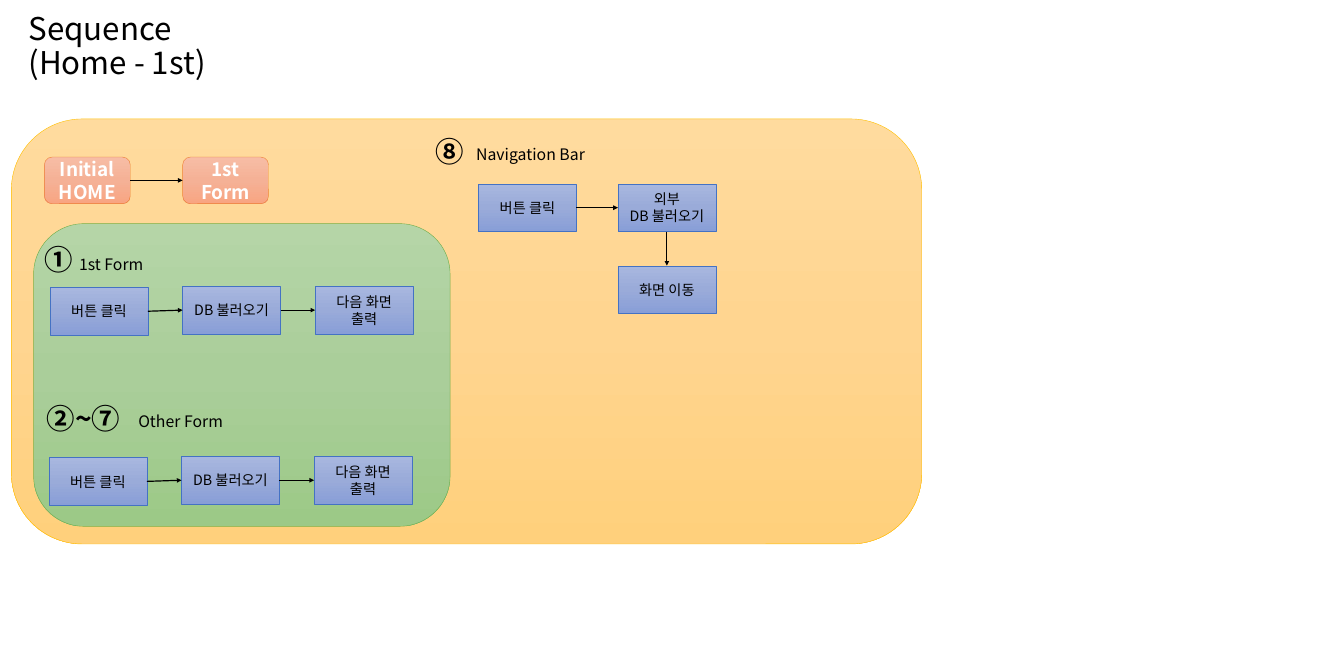
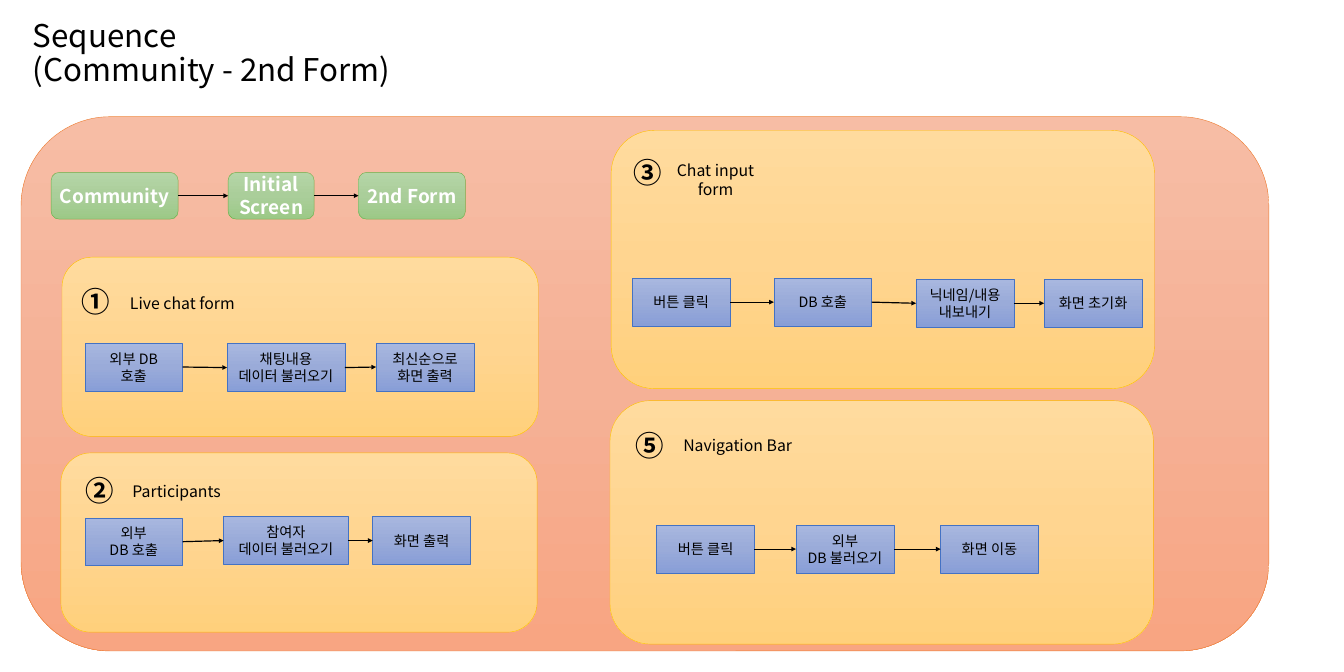
from copy import deepcopy
from dataclasses import dataclass

from lxml.etree import SubElement
from pptx import Presentation
from pptx.dml.color import RGBColor
from pptx.enum.shapes import MSO_CONNECTOR as Connector, MSO_SHAPE as Preset
from pptx.enum.text import MSO_ANCHOR as Anchor, MSO_AUTO_SIZE as AutoSize, PP_ALIGN as Align
from pptx.oxml.ns import qn
from pptx.util import Inches, Pt


@dataclass(frozen=True)
class Look:
    """Three gradient colours from top to bottom, and an outline."""
    stops: tuple
    line: str


@dataclass(frozen=True)
class Theme:
    font: str = "Noto Sans CJK KR"
    text: str = "000000"
    light: str = "FFFFFF"
    yellow: Look = Look(("FFDB9E", "FFD590", "FFD07C"), "FFC000")
    orange: Look = Look(("F7BDA5", "F5B196", "F8A582"), "ED7D31")
    green: Look = Look(("B5D5A7", "AACE9A", "9CC987"), "70AD47")
    blue: Look = Look(("A8B7DF", "9AABD9", "889ED7"), "4472C4")
    title_size: float = 39.6
    number_size: int = 36
    badge_size: int = 24
    caption_size: int = 20
    step_size: int = 18
    outline: float = 0.5
    arrow: float = 1.5


# Connection sites of a rectangle
TOP, LEFT, BOTTOM, RIGHT = range(4)
STEP_WIDTH, STEP_HEIGHT = 1.72, 0.84
BADGE_HEIGHT = 0.82


class SequenceDeck:
    def __init__(self, theme):
        self.theme = theme
        self.presentation = Presentation()
        self.presentation.slide_width = Inches(23.62)
        self.presentation.slide_height = Inches(11.81)
        self.slide = None

    def add_slide(self, title, left, top, width, height):
        layout = self.presentation.slide_layouts.get_by_name("Title Only")
        self.slide = self.presentation.slides.add_slide(layout)
        shape = self.slide.shapes.title
        shape.left, shape.top = Inches(left), Inches(top)
        shape.width, shape.height = Inches(width), Inches(height)
        frame = shape.text_frame
        frame.auto_size = AutoSize.NONE
        frame.vertical_anchor = Anchor.MIDDLE
        self.set_text(frame, title, self.theme.title_size, Align.LEFT)
        frame.paragraphs[0].line_spacing = 0.9

    def set_text(self, frame, text, size, align=Align.CENTER, color=None, bold=False):
        frame.text = text
        frame.word_wrap = True
        for paragraph in frame.paragraphs:
            paragraph.alignment = align
            for run in paragraph.runs:
                font = run.font
                font.size, font.bold = Pt(size), bold
                font.color.rgb = RGBColor.from_string(color or self.theme.text)
                font.name = self.theme.font
                # Korean text takes the East Asian typeface
                SubElement(font._element, qn("a:ea"), typeface=self.theme.font)

    def block(self, preset, look, left, top, width, height):
        shape = self.slide.shapes.add_shape(
            preset, Inches(left), Inches(top), Inches(width), Inches(height))
        shape.shadow.inherit = False
        shape.fill.gradient()
        shape.fill.gradient_angle = 270
        # A middle stop joins the two default ones
        stop_list = shape._element.spPr.find(".//" + qn("a:gsLst"))
        stop_list.insert(1, deepcopy(stop_list[0]))
        for index, stop in enumerate(shape.fill.gradient_stops):
            stop.position = index / 2
            stop.color.rgb = RGBColor.from_string(look.stops[index])
        shape.line.color.rgb = RGBColor.from_string(look.line)
        shape.line.width = Pt(self.theme.outline)
        return shape

    def panel(self, look, left, top, width, height):
        self.block(Preset.ROUNDED_RECTANGLE, look, left, top, width, height)

    def badge(self, look, text, left, top, width):
        shape = self.block(Preset.ROUNDED_RECTANGLE, look, left, top, width, BADGE_HEIGHT)
        self.set_text(shape.text_frame, text, self.theme.badge_size,
                      color=self.theme.light, bold=True)
        return shape

    def step(self, text, left, top, width=STEP_WIDTH):
        shape = self.block(Preset.RECTANGLE, self.theme.blue, left, top, width, STEP_HEIGHT)
        self.set_text(shape.text_frame, text, self.theme.step_size)
        return shape

    def arrow(self, start, end, start_site=RIGHT, end_site=LEFT):
        connector = self.slide.shapes.add_connector(Connector.STRAIGHT, 0, 0, 0, 0)
        connector.begin_connect(start, start_site)
        connector.end_connect(end, end_site)
        connector.line.color.rgb = RGBColor.from_string(self.theme.text)
        connector.line.width = Pt(self.theme.arrow)
        properties = connector._element.spPr
        SubElement(properties.find(qn("a:ln")), qn("a:tailEnd"), type="triangle")
        SubElement(properties, qn("a:effectLst"))

    def chain(self, shapes):
        for start, end in zip(shapes, shapes[1:]):
            self.arrow(start, end)

    def badges(self, look, top, items):
        self.chain([self.badge(look, text, left, top, width) for text, left, width in items])

    def steps(self, items):
        shapes = [self.step(*item) for item in items]
        self.chain(shapes)
        return shapes

    def text_box(self, left, top, width, height):
        box = self.slide.shapes.add_textbox(
            Inches(left), Inches(top), Inches(width), Inches(height))
        return box.text_frame

    def number(self, text, left, top, width=0.96):
        frame = self.text_box(left, top, width, 0.65)
        frame.margin_left = frame.margin_right = frame.margin_top = frame.margin_bottom = 0
        self.set_text(frame, text, self.theme.number_size, Align.LEFT, bold=True)

    def caption(self, text, left, top, width=2.11, height=0.44):
        frame = self.text_box(left, top, width, height)
        self.set_text(frame, text, self.theme.caption_size)
        frame.auto_size = AutoSize.SHAPE_TO_FIT_TEXT


def build_home(deck):
    theme = deck.theme
    deck.add_slide("Sequence \v(Home - 1st)", 0.4, 0.12, 4.57, 1.43)
    deck.panel(theme.yellow, 0.2, 2.09, 16, 7.47)
    deck.badges(theme.orange, 2.76, [("Initial\nHOME", 0.78, 1.51), ("1st\nForm", 3.21, 1.51)])

    # Navigation bar
    deck.number("⑧", 7.66, 2.36)
    deck.caption("Navigation Bar", 8.16, 2.5, 2.33)
    database = deck.steps([("버튼 클릭", 8.41, 3.23), ("외부\nDB 불러오기", 10.86, 3.23)])[-1]
    deck.arrow(database, deck.step("화면 이동", 10.86, 4.67), BOTTOM, TOP)

    # Forms
    deck.panel(theme.green, 0.59, 3.93, 7.32, 5.32)
    deck.number("①", 0.78, 4.26)
    deck.caption("1st Form", 1.25, 4.42, 1.41)
    deck.number("②~⑦", 0.82, 7.04, 1.49)
    deck.caption("Other Form", 2.21, 7.18, 1.93)
    for left, top in ((0.88, 5.03), (0.86, 8.02)):
        deck.steps([("버튼 클릭", left, top + 0.02),
                    ("DB 불러오기", left + 2.33, top),
                    ("다음 화면\n출력", left + 4.66, top)])


def build_community(deck):
    theme = deck.theme
    deck.add_slide("Sequence \v(Community - 2nd Form)", 0.48, 0.24, 9.16, 1.44)
    deck.panel(theme.orange, 0.37, 2.05, 21.93, 9.39)
    deck.badges(theme.green, 3.03, [("Community", 0.9, 2.23),
                                    ("Initial\nScreen", 4.01, 1.51),
                                    ("2nd Form", 6.3, 1.88)])

    # Live chat form
    deck.panel(theme.yellow, 1.09, 4.52, 8.37, 3.15)
    deck.number("①", 1.44, 5)
    deck.caption("Live chat form", 2.15, 5.11)
    deck.steps([("외부 DB\n호출", 1.49, 6.03),
                ("채팅내용\n데이터 불러오기", 3.99, 6.04, 2.07),
                ("최신순으로\n화면 출력", 6.61, 6.03)])

    # Participants
    deck.panel(theme.yellow, 1.07, 7.96, 8.37, 3.15)
    deck.number("②", 1.5, 8.32)
    deck.caption("Participants", 2.05, 8.41)
    deck.steps([("외부\nDB 호출", 1.49, 9.1),
                ("참여자\n데이터 불러오기", 3.93, 9.08, 2.19),
                ("화면 출력", 6.55, 9.08)])

    # Chat input form
    deck.panel(theme.yellow, 10.74, 2.29, 9.55, 4.54)
    deck.number("③", 11.13, 2.73)
    deck.caption("Chat input form", 11.52, 2.78, height=0.77)
    deck.steps([("버튼 클릭", 11.11, 4.89),
                ("DB 호출", 13.6, 4.89),
                ("닉네임/내용\n내보내기", 16.1, 4.91),
                ("화면 초기화", 18.35, 4.91)])

    # Navigation bar
    deck.panel(theme.yellow, 10.72, 7.04, 9.55, 4.28)
    deck.number("⑤", 11.17, 7.52)
    deck.caption("Navigation Bar", 11.8, 7.61, 2.33)
    deck.steps([("버튼 클릭", 11.54, 9.23),
                ("외부\nDB 불러오기", 13.99, 9.23),
                ("화면 이동", 16.53, 9.23)])


def main():
    deck = SequenceDeck(Theme())
    build_home(deck)
    build_community(deck)
    deck.presentation.save("out.pptx")


if __name__ == "__main__":
    main()
